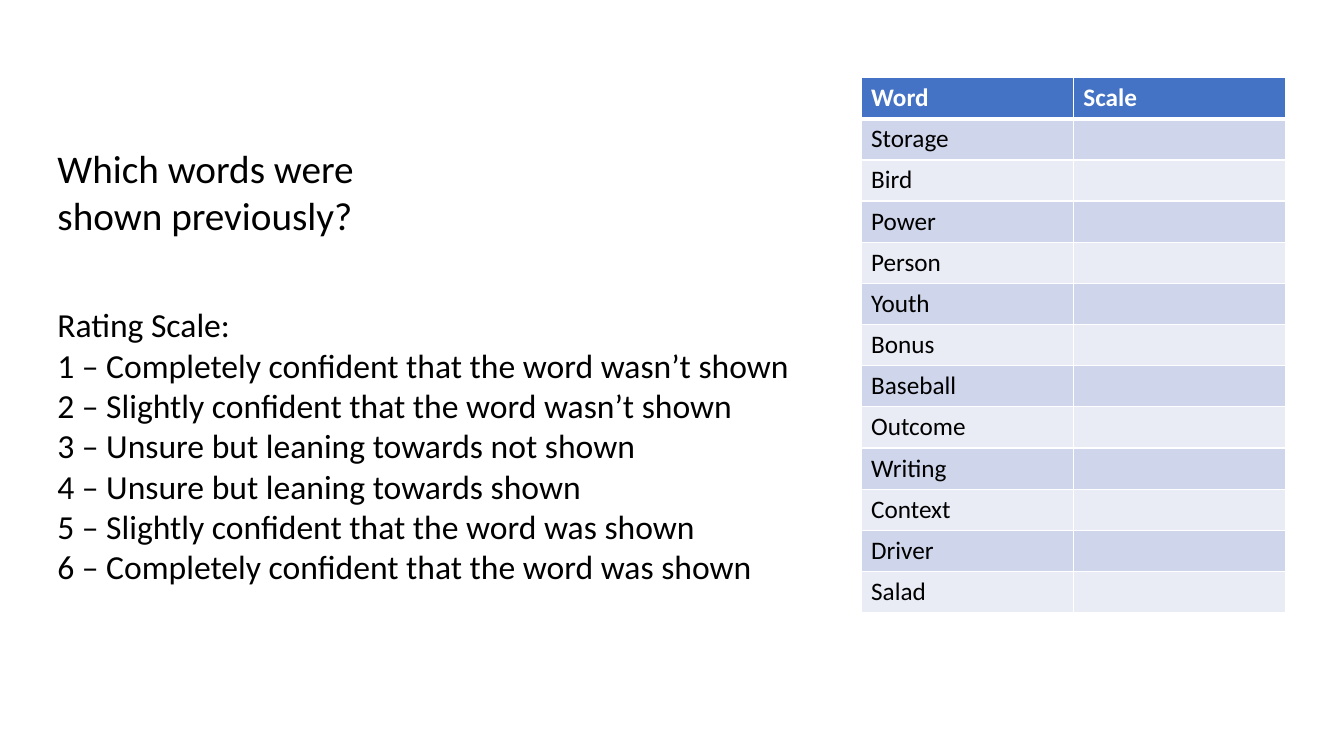
from lxml.etree import SubElement
from pptx import Presentation
from pptx.dml.color import RGBColor
from pptx.enum.text import MSO_ANCHOR as Anchor, MSO_AUTO_SIZE as AutoSize, PP_ALIGN as Align
from pptx.oxml.ns import qn
from pptx.util import Inches, Pt

WHITE = RGBColor(0xFF, 0xFF, 0xFF)
BLACK = RGBColor(0x00, 0x00, 0x00)
HEADER_BLUE = RGBColor(0x44, 0x72, 0xC4)
BANDS = (RGBColor(0xE9, 0xEB, 0xF5), RGBColor(0xCF, 0xD5, 0xEA))

QUESTION = ["Which words were ", "shown previously?"]
RATINGS = [
    "Completely confident that the word wasn’t shown ",
    "Slightly confident that the word wasn’t shown ",
    "Unsure but leaning towards not shown ",
    "Unsure but leaning towards shown ",
    "Slightly confident that the word was shown ",
    "Completely confident that the word was shown ",
]
WORDS = ["Storage", "Bird", "Power", "Person", "Youth", "Bonus", "Baseball",
         "Outcome", "Writing", "Context", "Driver", "Salad"]


class SlideBuilder:
    font_name = "Calibri"
    thin, thick = 1, 3

    def __init__(self, slide):
        self.slide = slide

    def add_lines(self, frame, lines, size, color=BLACK, bold=False):
        font_format = {"name": self.font_name, "size": Pt(size), "bold": bold}
        for index, line in enumerate(lines):
            paragraph = frame.add_paragraph() if index else frame.paragraphs[0]
            paragraph.alignment = Align.LEFT
            run = paragraph.add_run()
            run.text = line
            for name, value in font_format.items():
                setattr(run.font, name, value)
            run.font.color.rgb = color

    def fill_frame(self, frame, lines, size, wrap):
        frame_format = {
            "word_wrap": wrap,
            "auto_size": AutoSize.SHAPE_TO_FIT_TEXT,
            "vertical_anchor": Anchor.TOP,
        }
        for name, value in frame_format.items():
            setattr(frame, name, value)
        self.add_lines(frame, lines, size)

    def title(self, lines, left, top, width, height, size):
        heading = self.slide.shapes.title
        place = {"left": left, "top": top, "width": width, "height": height}
        for name, value in place.items():
            setattr(heading, name, Inches(value))
        self.fill_frame(heading.text_frame, lines, size, True)

    def text(self, lines, left, top, width, height, size, wrap=True):
        box = self.slide.shapes.add_textbox(*map(Inches, (left, top, width, height)))
        self.fill_frame(box.text_frame, lines, size, wrap)

    def borders(self, cell, widths):
        properties = cell._tc.get_or_add_tcPr()
        for side, width in widths.items():
            line = SubElement(properties, qn(f"a:ln{side}"), w=str(Pt(width)))
            fill = SubElement(line, qn("a:solidFill"))
            SubElement(fill, qn("a:srgbClr"), val=str(WHITE))

    def table(self, header, words, left, top, width, height, size):
        rows = [header] + [[word, ""] for word in words]
        grid = self.slide.shapes.add_table(
            len(rows), len(header), *map(Inches, (left, top, width, height))).table
        for row, values in enumerate(rows):
            is_header = row == 0
            widths = {
                "L": self.thin,
                "R": self.thin,
                "T": self.thick if row == 1 else self.thin,
                "B": self.thick if is_header else self.thin,
            }
            for column, value in enumerate(values):
                cell = grid.cell(row, column)
                self.borders(cell, widths)
                cell.fill.solid()
                cell.fill.fore_color.rgb = HEADER_BLUE if is_header else BANDS[row % 2]
                if value:
                    self.add_lines(cell.text_frame, [value], size,
                                   WHITE if is_header else BLACK, is_header)


deck = Presentation()
deck.slide_width, deck.slide_height = Inches(13.33), Inches(7.5)
title_only = deck.slide_layouts[5]
builder = SlideBuilder(deck.slides.add_slide(title_only))

builder.table(["Word", "Scale"], WORDS, 8.54, 0.77, 4.21, 5.31, 18)
builder.title(QUESTION, 0.47, 1.38, 4.32, 1.04, 28)
scale_lines = ["Rating Scale: "] + [
    f"{score} – {meaning}" for score, meaning in enumerate(RATINGS, 1)]
builder.text(scale_lines, 0.47, 2.97, 7.6, 2.93, 24, wrap=False)

deck.save("out.pptx")
